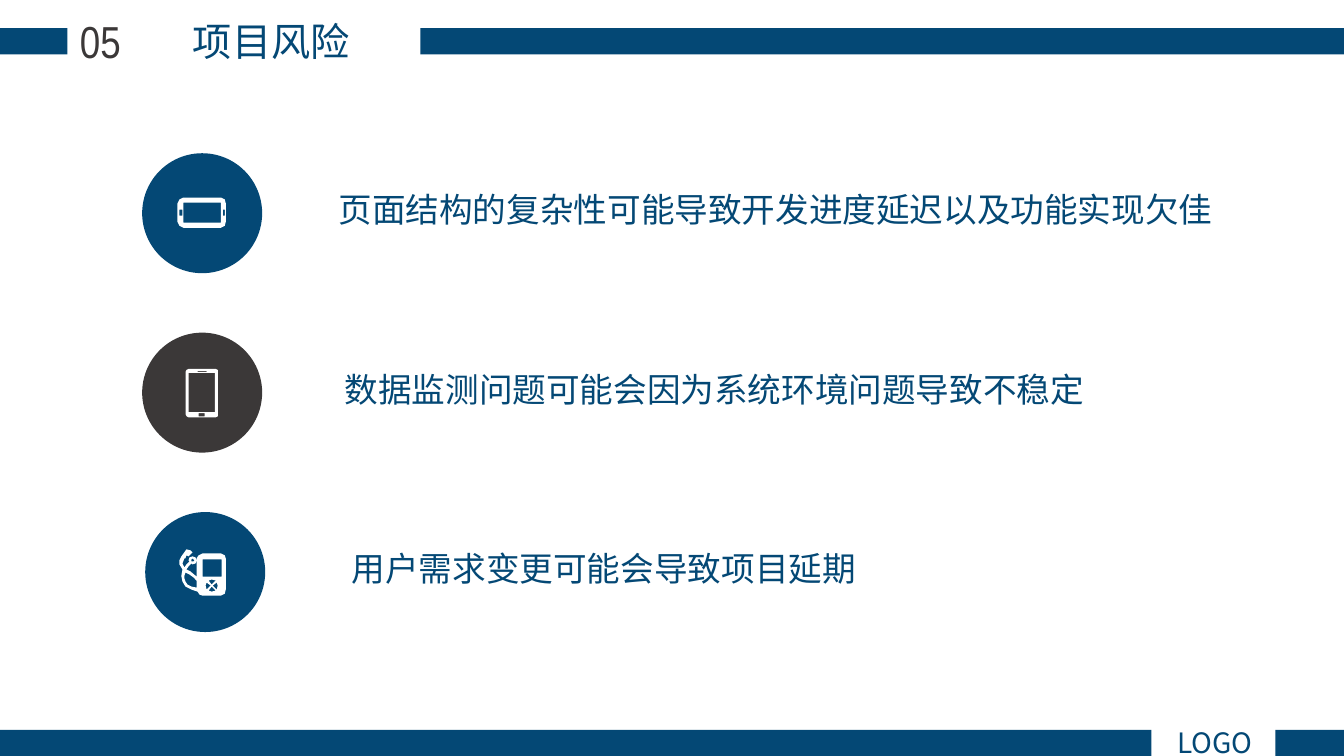
from lxml import etree
from pptx import Presentation
from pptx.dml.color import RGBColor
from pptx.enum.shapes import MSO_SHAPE as Shape
from pptx.enum.text import MSO_ANCHOR as Anchor, PP_ALIGN as Align
from pptx.oxml.ns import qn
from pptx.util import Inches, Pt

BLUE, DARK, WHITE = "044875", "3B3838", "FFFFFF"
CJK_FONT = "Noto Sans CJK SC"
WIDTH, HEIGHT = 13.33, 7.5
BAR_HEIGHT = 0.26
ROW_PITCH = 1.78
CIRCLE_SIZE = 1.19


def paint(shape, color):
    shape.shadow.inherit = False
    shape.fill.solid()
    shape.fill.fore_color.rgb = RGBColor.from_string(color)
    shape.line.fill.background()


def write(box, area, text, size, color=BLUE, font=CJK_FONT, align=Align.CENTER):
    for side, length in zip(("left", "top", "width", "height"), area):
        setattr(box, side, Inches(length))
    frame = box.text_frame
    frame.word_wrap = True
    frame.vertical_anchor = Anchor.TOP
    para = frame.paragraphs[0]
    para.alignment = align
    span = para.add_run()
    span.text = text
    for name, value in {"size": Pt(size), "name": font, "bold": False}.items():
        setattr(span.font, name, value)
    span.font.color.rgb = RGBColor.from_string(color)
    etree.SubElement(span.font._element, qn("a:ea"), typeface=font)


deck = Presentation()
deck.slide_width, deck.slide_height = Inches(WIDTH), Inches(HEIGHT)
page = deck.slides.add_slide(deck.slide_layouts[5])
shapes = page.shapes

# Icon outlines in hundredths of an inch; four numbers stand for a rectangle
tablet = [
    [(182, 196), (219, 196), (223, 198), (224, 202), (224, 220), (223, 224),
     (219, 226), (182, 226), (178, 224), (176, 220), (176, 202), (178, 198)],
    (182, 201, 219, 221), (178, 208, 181, 214), (221, 208, 223, 214),
]
phone = [
    [(187, 366), (214, 366), (216, 367), (216, 369), (216, 411), (216, 413),
     (214, 414), (187, 414), (185, 413), (184, 411), (184, 369), (185, 367)],
    (187, 370, 213, 409), (197, 410, 203, 413), (196, 368, 205, 369),
]
meter = [
    # Body, hose and plug
    [(201, 549), (219, 549), (223, 551), (224, 554), (224, 585), (223, 589),
     (219, 591), (201, 591), (198, 590), (196, 587), (190, 585), (184, 582),
     (181, 577), (180, 572), (180, 571), (181, 565), (178, 560), (178, 556),
     (180, 552), (185, 545), (189, 546), (191, 548), (187, 552), (185, 551),
     (184, 554), (183, 554), (181, 559), (183, 563), (185, 560), (188, 557),
     (187, 556), (188, 553), (191, 552), (194, 553), (195, 556), (194, 559),
     (191, 560), (190, 559), (187, 562), (185, 565), (189, 567), (195, 572),
     (195, 554), (197, 551)],
    # Ring and loop openings
    [(191, 554), (190, 555), (190, 557), (191, 557), (192, 557), (193, 556),
     (192, 555)],
    [(195, 583), (195, 576), (192, 573), (188, 570), (184, 568), (183, 571),
     (183, 574), (184, 577), (186, 580), (190, 582)],
    # Screen and four-way key
    (201, 555, 220, 572),
    [(210, 575), (207, 576), (210, 580), (214, 576)],
    [(215, 578), (211, 581), (215, 585), (216, 581)],
    [(214, 586), (210, 582), (207, 586), (210, 587)],
    [(205, 585), (209, 581), (205, 578), (204, 581)],
]

# Risk rows: circle left, circle colour, icon, text left, text
risks = [
    (1.41, BLUE, tablet, 3.26, "页面结构的复杂性可能导致开发进度延迟以及功能实现欠佳"),
    (1.41, DARK, phone, 3.32, "数据监测问题可能会因为系统环境问题导致不稳定"),
    (1.44, BLUE, meter, 3.39, "用户需求变更可能会导致项目延期"),
]
for row, (circle_left, color, icon, text_left, text) in enumerate(risks):
    top = 1.52 + row * ROW_PITCH
    circle = shapes.add_shape(Shape.OVAL, Inches(circle_left), Inches(top),
                              Inches(CIRCLE_SIZE), Inches(CIRCLE_SIZE))
    paint(circle, color)

    outlines = []
    for part in icon:
        if isinstance(part, tuple):
            left, upper, right, lower = part
            part = [(left, upper), (right, upper), (right, lower), (left, lower)]
        outlines.append(part)
    builder = shapes.build_freeform(*outlines[0][0], scale=Inches(0.01))
    for outline in outlines:
        if outline is not outlines[0]:
            builder.move_to(*outline[0])
        builder.add_line_segments(outline[1:], close=True)
    paint(builder.convert_to_shape(), WHITE)

    write(shapes.add_textbox(0, 0, 0, 0), (text_left, top + 0.31, 9.03, 0.5),
          text, 24, align=Align.LEFT)

# Header and footer bars: left, top, right
footer_top = HEIGHT - BAR_HEIGHT
for left, top, right in [(0, 0.28, 0.67), (4.17, 0.28, WIDTH),
                         (0, footer_top, 11.42), (12.65, footer_top, WIDTH)]:
    bar = shapes.add_shape(Shape.RECTANGLE, Inches(left), Inches(top),
                           Inches(right - left), Inches(BAR_HEIGHT))
    paint(bar, BLUE)

# Title, section number and footer label
write(shapes.title, (0.89, 0.12, 3.6, 0.57), "项目风险", 28)
write(shapes.add_textbox(0, 0, 0, 0), (0.6, 0.09, 0.79, 0.64), "05", 32,
      DARK, "Arial Narrow")
write(shapes.add_textbox(0, 0, 0, 0), (11.23, 7.15, 1.64, 0.44), "LOGO", 20)

deck.save("out.pptx")
